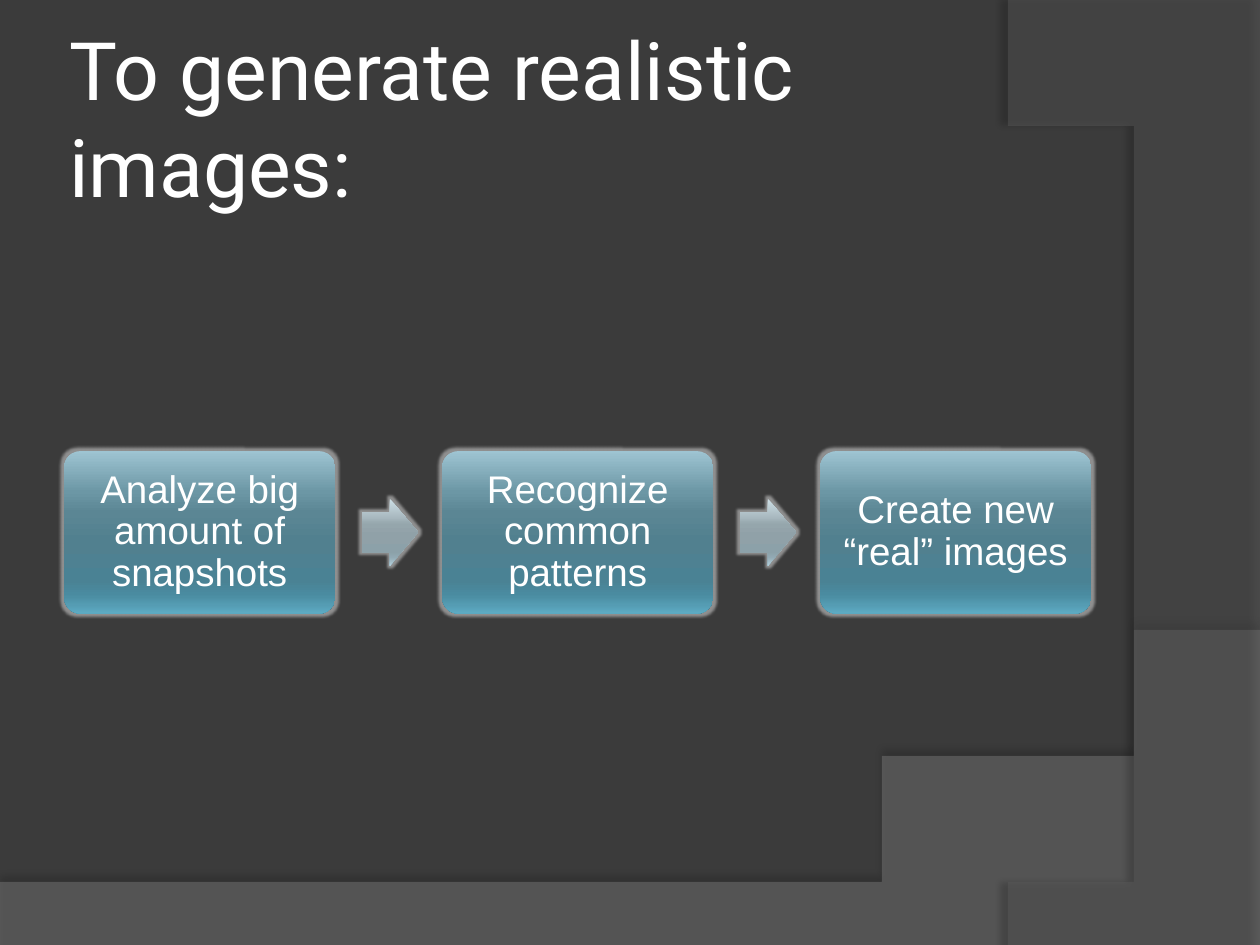
import lxml.etree
import pptx
import pptx.dml.color
import pptx.enum.shapes
import pptx.enum.text
import pptx.oxml.ns
import pptx.util

Inches = pptx.util.Inches
Pt = pptx.util.Pt
Color = pptx.dml.color.RGBColor
Shape = pptx.enum.shapes.MSO_SHAPE
Align = pptx.enum.text.PP_ALIGN
Anchor = pptx.enum.text.MSO_ANCHOR
qn = pptx.oxml.ns.qn

BACK = Color(0x3B, 0x3B, 0x3B)
LOW = Color(0x7F, 0x7F, 0x7F)
SIDE = Color(0x5E, 0x5E, 0x5E)
BLACK = Color(0, 0, 0)
WHITE = Color(0xFF, 0xFF, 0xFF)
GLOW = Color(0xC8, 0xC8, 0xC8)
STOPS = (0, 25, 38, 55, 80, 88, 100)
TEAL = [Color.from_string(c) for c in
        ("9EC4D2", "6C97A5", "5B8694", "51808F", "4A8294", "4A8BA0", "5DAAC2")]
GREY = [Color.from_string(c) for c in
        ("CCDEE5", "ACBCC3", "95A6AC", "90A1A8", "8CA1A9", "92AAB4", "B4D0DC")]
STEPS = ("Analyze big amount of snapshots", "Recognize common patterns",
         "Create new “real” images")


def add_node(parent, tag, **attrs):
    node = lxml.etree.SubElement(parent, qn(tag))
    for key, value in attrs.items():
        node.set(key, str(value))
    return node


def add_color(parent, color, alpha=100):
    node = add_node(parent, "a:srgbClr", val=color)
    if alpha < 100:
        add_node(node, "a:alpha", val=alpha * 1000)


def add_effect(shape, tag, color, alpha, **attrs):
    shape.shadow.inherit = False
    effects = shape.element.spPr.find(qn("a:effectLst"))
    add_color(add_node(effects, tag, **attrs), color, alpha)


def put_text(shape, text, size=22, font="Arial", color=WHITE,
             align=Align.CENTER, inset=0.13, line=0.9):
    frame = shape.text_frame
    frame.text = text
    frame.word_wrap = True
    frame.auto_size = pptx.enum.text.MSO_AUTO_SIZE.NONE
    frame.vertical_anchor = Anchor.MIDDLE
    frame.margin_left = frame.margin_right = Inches(inset)
    frame.margin_top = frame.margin_bottom = Inches(inset)
    para = frame.paragraphs[0]
    para.alignment = align
    para.line_spacing = line
    style = para.runs[0].font
    style.size = Pt(size)
    style.name = font
    style.color.rgb = color


def curve(start, first, second, end, count=48):
    points = []
    for i in range(count + 1):
        t = i / count
        u = 1 - t
        parts = (u ** 3, 3 * u * u * t, 3 * u * t * t, t ** 3)
        points.append(tuple(
            sum(p * c for p, c in zip(parts, axis))
            for axis in zip(start, first, second, end)))
    return points


def add_band(slide, points, color, alpha, shade, angle, dist):
    pen = slide.shapes.build_freeform(
        *points[0], scale=Inches(1))
    pen.add_line_segments(points[1:], close=True)
    band = pen.convert_to_shape()
    band.fill.solid()
    band.fill.fore_color.rgb = color
    fill = band.element.spPr.find(qn("a:solidFill"))
    add_node(fill[0], "a:alpha", val=alpha * 1000)
    band.line.fill.background()
    add_effect(band, "a:outerShdw", BLACK, shade, blurRad=Pt(4),
               dist=Pt(dist), dir=angle * 60000, algn="ctr", rotWithShape=0)
    slide.shapes.title.element.addprevious(band.element)


def add_bands(slide, wide, high):
    low = curve((wide, 5.2), (5.59, 7.29), (3.91, 7.19), (0, 7.05))
    add_band(slide, [(0, high), (wide, high)] + low, LOW, 45, 35, 270, 3.5)
    side = curve((8.21, high), (9.35, 6.19), (10.18, 3), (8, 0))
    add_band(slide, [(wide, 0.02), (wide, high)] + side, SIDE, 40, 45, 180, 4)


def add_title(slide, left, top, width, height):
    title = slide.shapes.title
    title.left, title.top = Inches(left), Inches(top)
    title.width, title.height = Inches(width), Inches(height)
    put_text(title, "To generate realistic images:", size=46, font="Roboto",
             align=Align.LEFT, inset=0.05, line=1.0)


def add_block(slide, kind, left, top, width, height, colors, adjust):
    block = slide.shapes.add_shape(
        kind, Inches(left), Inches(top), Inches(width), Inches(height))
    for i, value in enumerate(adjust):
        block.adjustments[i] = value
    block.fill.gradient()
    block.fill.gradient_angle = 270
    stops = block.element.spPr.find(qn("a:gradFill")).find(qn("a:gsLst"))
    for stop in list(stops):
        stops.remove(stop)
    for place, color in zip(STOPS, colors):
        add_color(add_node(stops, "a:gs", pos=place * 1000), color)
    block.line.fill.background()
    add_effect(block, "a:glow", GLOW, 60, rad=Pt(3))
    return block


def add_flow(slide, left, top, height, width=2.15, pitch=3.0):
    wide, high = 0.45, 0.53
    for i, text in enumerate(STEPS):
        x = left + i * pitch
        if i:
            add_block(slide, Shape.RIGHT_ARROW, x - 0.64,
                      top + (height - high) / 2, wide, high, GREY, (0.6, 0.5))
        card = add_block(slide, Shape.ROUNDED_RECTANGLE, x, top, width,
                         height, TEAL, (0.1,))
        put_text(card, text)


def main():
    deck = pptx.Presentation()
    deck.slide_width, deck.slide_height = Inches(10), Inches(7.5)
    slide = deck.slides.add_slide(deck.slide_layouts[5])
    slide.background.fill.solid()
    slide.background.fill.fore_color.rgb = BACK
    add_bands(slide, 10, 7.5)
    add_title(slide, 0.5, 0.3, 8.17, 1.25)
    add_flow(slide, 0.51, 3.58, 1.29)
    deck.save("out.pptx")


if __name__ == "__main__":
    main()
